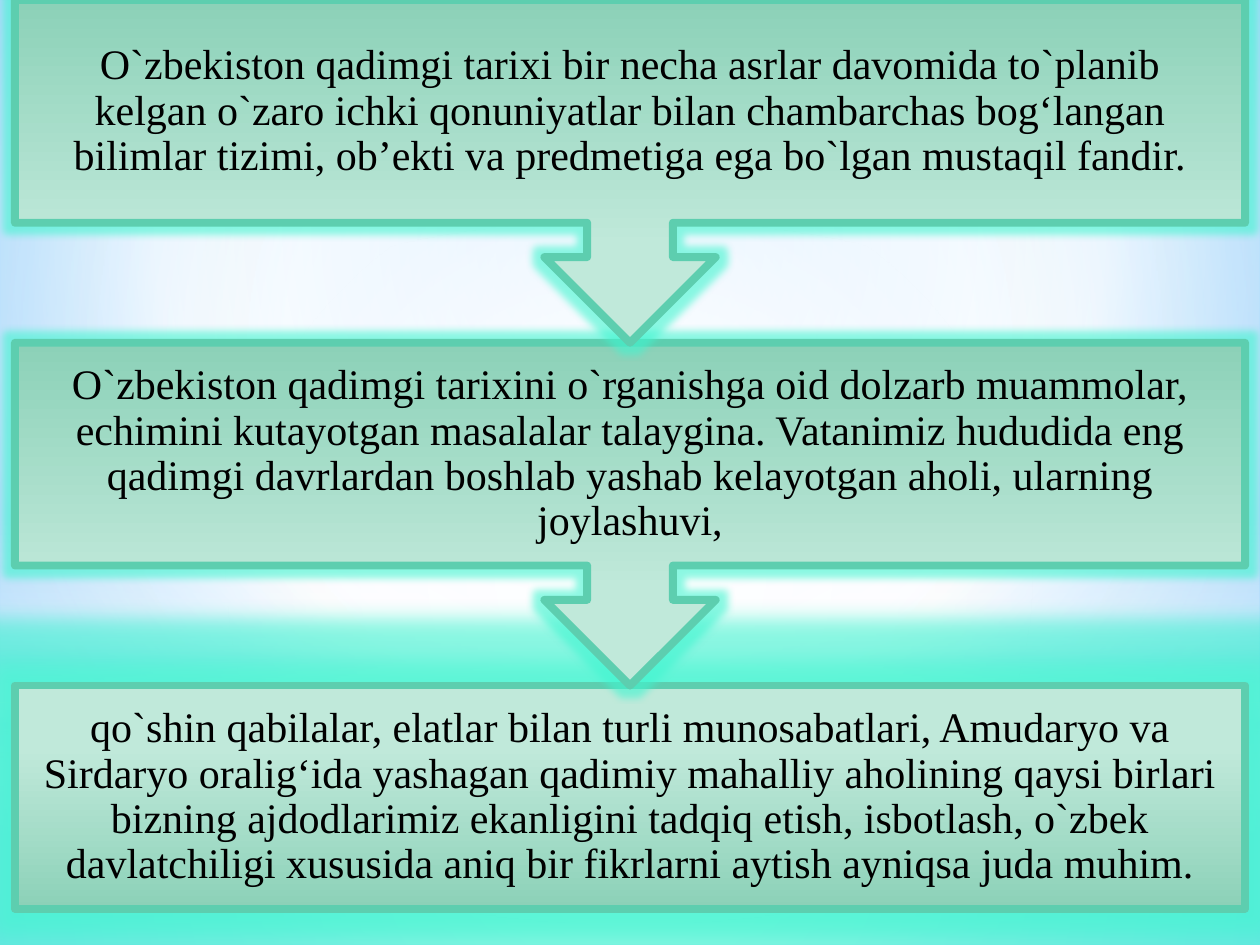
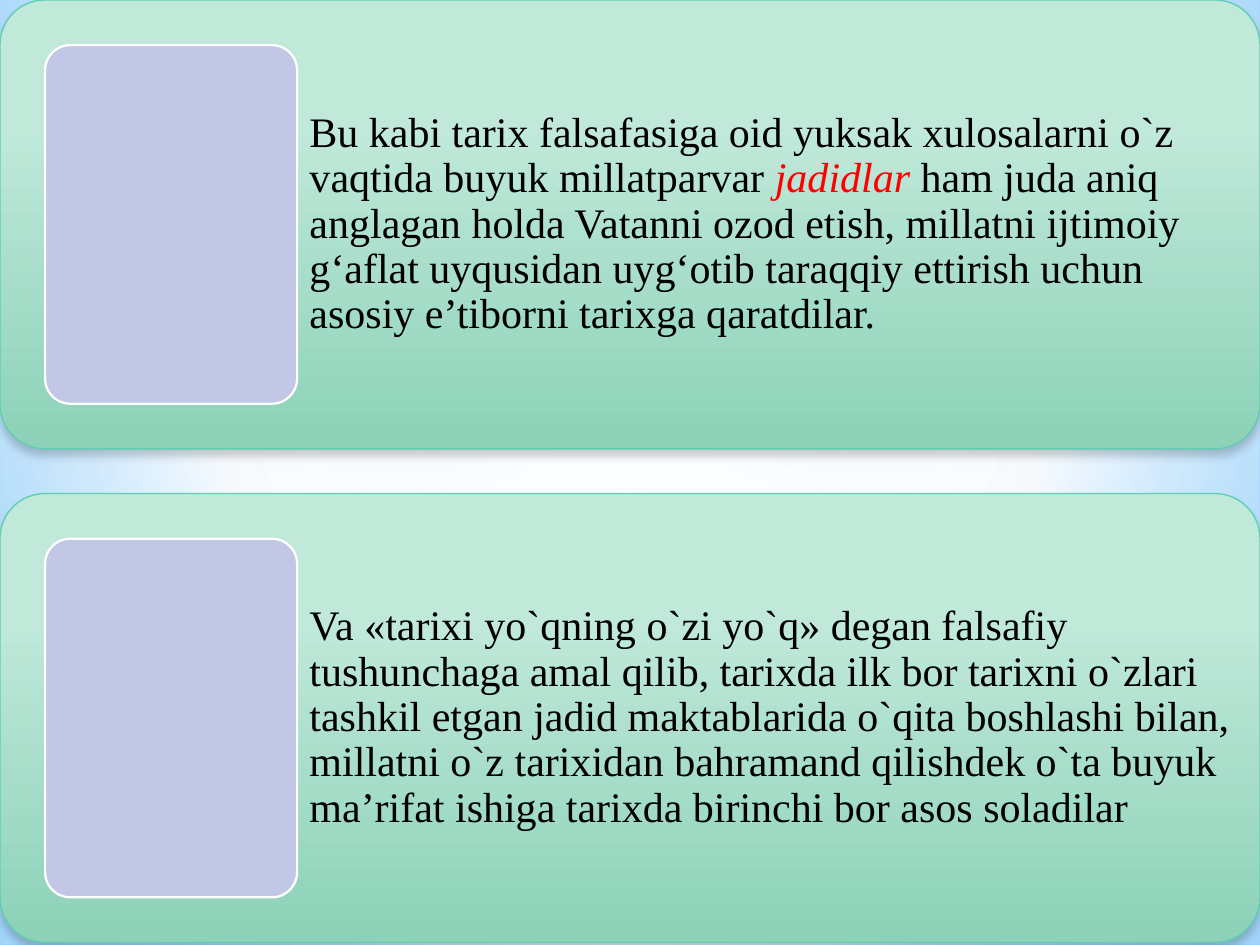
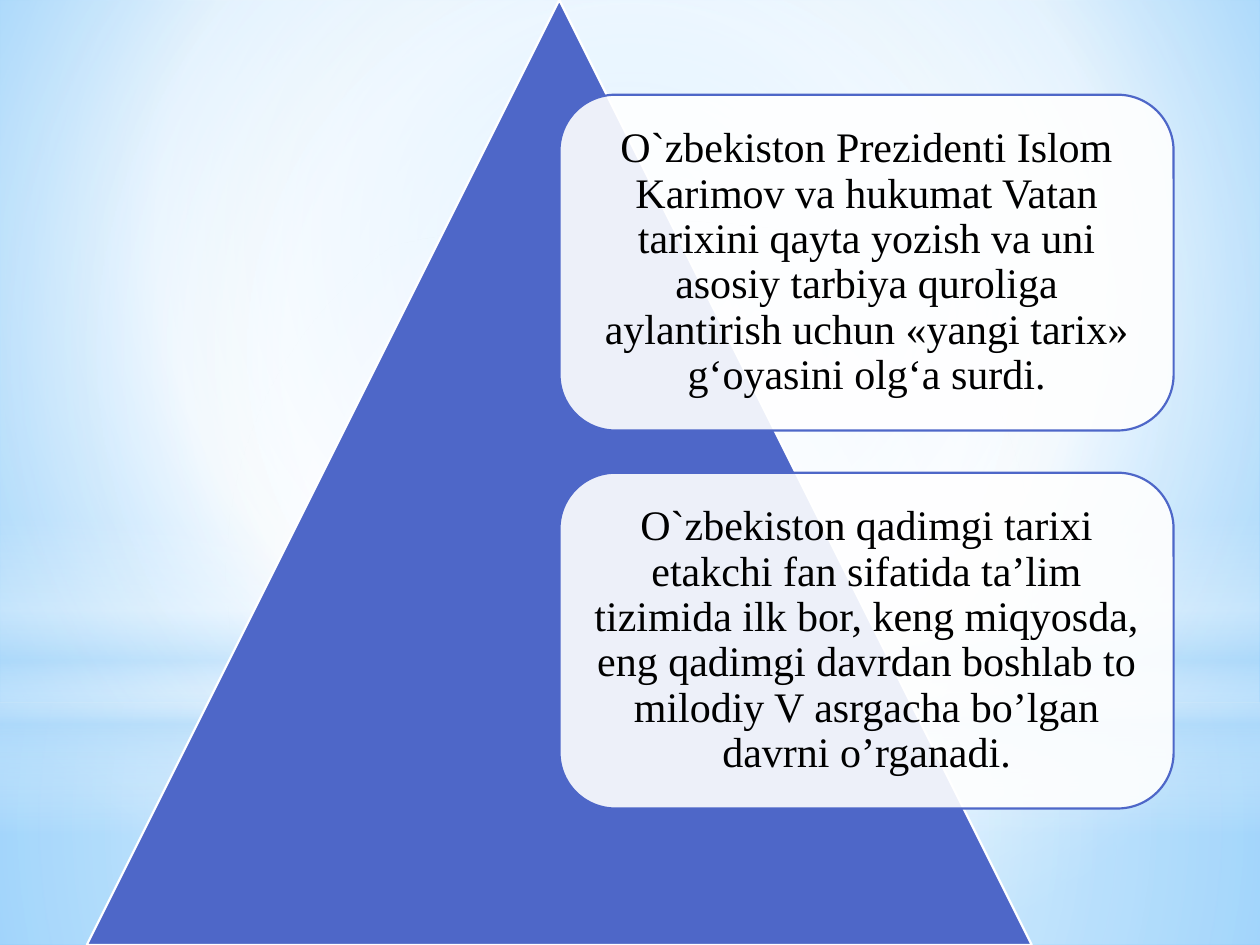
"""Build three slides on the ancient history of Uzbekistan."""
import pptx
import pptx.dml.color
import pptx.enum.shapes
import pptx.enum.text
import pptx.oxml
import pptx.oxml.ns
import pptx.util

Cm = pptx.util.Cm
Pt = pptx.util.Pt
RGB = pptx.dml.color.RGBColor
SHAPE = pptx.enum.shapes.MSO_SHAPE
ALIGN = pptx.enum.text.PP_ALIGN
qn = pptx.oxml.ns.qn

BLACK = RGB(0x00, 0x00, 0x00)
WHITE = RGB(0xFF, 0xFF, 0xFF)
RED = RGB(0xFF, 0x00, 0x00)
SKY = RGB(0x9E, 0xD5, 0xFF)
DEEP_SKY = RGB(0x5B, 0xB9, 0xFF)
HAZE = RGB(0xB4, 0xDC, 0xFA)
MINT = RGB(0xC0, 0xE9, 0xDA)
DARK_MINT = RGB(0x8C, 0xD1, 0xB8)
GREEN = RGB(0x5D, 0xCE, 0xAF)
GLOW = RGB(0x41, 0xF5, 0xD0)
INDIGO = RGB(0x4E, 0x67, 0xC8)
LAVENDER = RGB(0xC2, 0xC7, 0xE6)

WIDTH, HEIGHT = 25.4, 19.05
CENTER = (50, 50, 50, 50)
BACKGROUND = ([(0, SKY, 100), (60, WHITE, 100), (100, DEEP_SKY, 100)], (20, 10, 20, 60))
MINT_FADE = ([(28, MINT, 100), (100, DARK_MINT, 100)], None)
BACKDROP = [
    (SHAPE.RECTANGLE, (0, 14.17, WIDTH, 4.88),
     ([(0, WHITE, 91), (37, WHITE, 76), (100, HAZE, 79)], CENTER)),
    (SHAPE.RECTANGLE, (0, 0, WIDTH, 14.17),
     ([(0, WHITE, 89), (48, WHITE, 62), (100, HAZE, 79)], CENTER)),
    (SHAPE.RECTANGLE, (0, 10.46, WIDTH, 6.35),
     ([(0, WHITE, 0), (29, WHITE, 30), (45, HAZE, 40), (55, WHITE, 26),
       (65, HAZE, 60), (100, WHITE, 0)], None)),
    (SHAPE.OVAL, (0, 4.45, WIDTH, 14.17), ([(0, WHITE, 100), (56, WHITE, 0)], CENTER)),
]
BODY = {"name": "Times New Roman", "size": Pt(24)}

STEPS = [
    "O`zbekiston qadimgi tarixi bir necha asrlar davomida to`planib kelgan o`zaro ichki "
    "qonuniyatlar bilan chambarchas bog‘langan bilimlar tizimi, ob’ekti va predmetiga ega "
    "bo`lgan mustaqil fandir.",
    "O`zbekiston qadimgi tarixini o`rganishga oid dolzarb muammolar, echimini kutayotgan "
    "masalalar talaygina. Vatanimiz hududida eng qadimgi davrlardan boshlab yashab kelayotgan "
    "aholi, ularning joylashuvi,",
    "qo`shin qabilalar, elatlar bilan turli munosabatlari, Amudaryo va Sirdaryo oralig‘ida "
    "yashagan qadimiy mahalliy aholining qaysi birlari bizning ajdodlarimiz ekanligini tadqiq "
    "etish, isbotlash, o`zbek davlatchiligi xususida aniq bir fikrlarni aytish ayniqsa juda "
    "muhim.",
]
CARDS = [
    [("Bu kabi tarix falsafasiga oid yuksak xulosalarni o`z vaqtida buyuk millatparvar ", BLACK, False),
     ("jadidlar ", RED, True),
     ("ham juda aniq anglagan holda Vatanni ozod etish, millatni ijtimoiy g‘aflat uyqusidan "
      "uyg‘otib taraqqiy ettirish uchun asosiy e’tiborni tarixga qaratdilar.", BLACK, False)],
    [("Va «tarixi yo`qning o`zi yo`q» degan falsafiy tushunchaga amal qilib, tarixda ilk bor "
      "tarixni o`zlari tashkil etgan jadid maktablarida o`qita boshlashi bilan, millatni o`z "
      "tarixidan bahramand qilishdek o`ta buyuk ma’rifat ishiga tarixda birinchi bor asos "
      "soladilar", BLACK, False)],
]
IDEAS = [
    "O`zbekiston Prezidenti Islom Karimov va hukumat Vatan tarixini qayta yozish va uni asosiy "
    "tarbiya quroliga aylantirish uchun «yangi tarix» g‘oyasini olg‘a surdi.",
    "O`zbekiston qadimgi tarixi etakchi fan sifatida ta’lim tizimida ilk bor, keng miqyosda, "
    "eng qadimgi davrdan boshlab to milodiy V asrgacha bo’lgan davrni o’rganadi.",
]


def add_xml(parent, xml):
    """Append a drawing element written without its namespace declaration."""
    tag, rest = xml.split(" ", 1)
    parent.append(pptx.oxml.parse_xml(f"{tag} {pptx.oxml.ns.nsdecls('a')} {rest}"))


def color_xml(color, alpha):
    """Return a colour element with its opacity in percent."""
    return f'<a:srgbClr val="{color}"><a:alpha val="{alpha * 1000}"/></a:srgbClr>'


def set_gradient(fill, owner, gradient):
    """Give a fill gradient stops, running down or around a focus rectangle."""
    stops, focus = gradient
    fill.gradient()
    grad = next(owner.iter(qn("a:gradFill")))
    for child in list(grad):
        grad.remove(child)
    gs = "".join(f'<a:gs pos="{pos * 1000}">{color_xml(color, alpha)}</a:gs>'
                 for pos, color, alpha in stops)
    add_xml(grad, f"<a:gsLst >{gs}</a:gsLst>")
    if focus:
        sides = " ".join(f'{side}="{value * 1000}"' for side, value in zip("ltrb", focus))
        add_xml(grad, f'<a:path path="circle"><a:fillToRect {sides}/></a:path>')
    else:
        add_xml(grad, '<a:lin ang="5400000" scaled="0"/>')


def add_block(slide, kind, box, fill, line=None, alpha=100, adj=None, effect=None):
    """Add a preset shape with a solid or gradient fill, an outline and an effect."""
    sp = slide.shapes.add_shape(kind, *map(Cm, box))
    if adj is not None:
        sp.adjustments[0] = adj
    if isinstance(fill, tuple) and not isinstance(fill, RGB):
        set_gradient(sp.fill, sp.element.spPr, fill)
    else:
        sp.fill.solid()
        sp.fill.fore_color.rgb = fill
        if alpha < 100:
            clr = next(sp.element.spPr.iter(qn("a:srgbClr")))
            add_xml(clr, f'<a:alpha val="{alpha * 1000}"/>')
    if line:
        sp.line.color.rgb, sp.line.width = line[0], Pt(line[1])
    else:
        sp.line.fill.background()
    sp.shadow.inherit = False
    if effect:
        add_xml(sp.element.spPr.find(qn("a:effectLst")), effect)
    return sp


def glow(radius):
    """Return a green glow of a radius in points."""
    return f'<a:glow rad="{Pt(radius)}">{color_xml(GLOW, 60)}</a:glow>'


def add_text(slide, box, runs, align=ALIGN.LEFT, inset=0.25):
    """Add a middle-anchored paragraph of (text, colour, italic) runs."""
    tf = slide.shapes.add_textbox(*map(Cm, box)).text_frame
    frame = {"word_wrap": True, "vertical_anchor": pptx.enum.text.MSO_ANCHOR.MIDDLE}
    frame.update({f"margin_{side}": Cm(inset) for side in ("left", "top", "right", "bottom")})
    for key, value in frame.items():
        setattr(tf, key, value)
    p = tf.paragraphs[0]
    p.alignment, p.line_spacing = align, 0.9
    for text, color, italic in runs:
        r = p.add_run()
        r.text = text
        for key, value in {**BODY, "italic": italic}.items():
            setattr(r.font, key, value)
        r.font.color.rgb = color


def build_master(prs, slide):
    """Put the sky background and its light bands on the slide master."""
    master = prs.slide_master
    set_gradient(master.background.fill, master.element, BACKGROUND)
    for number, (kind, box, fill) in enumerate(BACKDROP, 101):
        sp = add_block(slide, kind, box, fill)
        sp.element.nvSpPr.cNvPr.set("id", str(number))
        master.shapes.element.append(sp.element)


def build_steps(slide):
    """Stack the three steps, the upper two pointing down to the next."""
    left, width, pitch, height = 0.3, 24.8, 6.91, 4.5
    for i, text in reversed(list(enumerate(STEPS))):
        top = i * pitch
        if i == len(STEPS) - 1:
            add_block(slide, SHAPE.RECTANGLE, (left, top, width, height), MINT_FADE,
                      (GREEN, 4.5), effect=glow(24))
        else:
            sp = add_block(slide, SHAPE.UP_ARROW_CALLOUT, (left, top, width, pitch), MINT_FADE,
                           (GREEN, 4.5), effect=glow(8))
            sp.rotation = 180
        add_text(slide, (left, top, width, height), [(text, BLACK, False)], ALIGN.CENTER, 0.49)


def build_cards(slide):
    """Draw two full-width cards, each with a plain panel at its left."""
    height, pitch, margin, panel = 9.05, 9.95, 0.91, 5.08
    shadow = (f'<a:outerShdw blurRad="{Pt(5)}" dist="{Pt(4)}" dir="5400000" rotWithShape="0">'
              f'{color_xml(BLACK, 20)}</a:outerShdw>')
    text_left = margin + panel
    for i, runs in enumerate(CARDS):
        top = i * pitch
        add_block(slide, SHAPE.ROUNDED_RECTANGLE, (0, top, WIDTH, height), MINT_FADE,
                  (GREEN, 0.75), adj=0.1, effect=shadow)
        add_text(slide, (text_left, top, WIDTH - text_left, height), runs)
        add_block(slide, SHAPE.ROUNDED_RECTANGLE,
                  (margin, top + margin, panel, height - 2 * margin), LAVENDER,
                  (WHITE, 1.25), adj=0.1)


def build_pyramid(slide):
    """Draw the pyramid with two ideas over its right side."""
    left, first, width, height, pitch, inset = 11.28, 1.91, 12.38, 6.77, 7.62, 0.33
    add_block(slide, SHAPE.ISOSCELES_TRIANGLE, (1.75, 0, HEIGHT, HEIGHT), INDIGO, (WHITE, 1.25))
    for i, text in enumerate(IDEAS):
        top = first + i * pitch
        add_block(slide, SHAPE.ROUNDED_RECTANGLE, (left, top, width, height), WHITE,
                  (INDIGO, 1.25), alpha=90)
        add_text(slide, (left + inset, top + inset, width - 2 * inset, height - 2 * inset),
                 [(text, BLACK, False)], ALIGN.CENTER)


def main():
    """Build and save the presentation."""
    prs = pptx.Presentation()
    prs.slide_width, prs.slide_height = Cm(WIDTH), Cm(HEIGHT)
    slides = [prs.slides.add_slide(prs.slide_layouts[6]) for _ in range(3)]
    build_master(prs, slides[0])
    for build, slide in zip((build_steps, build_cards, build_pyramid), slides):
        build(slide)
    prs.save("out.pptx")


if __name__ == "__main__":
    main()
